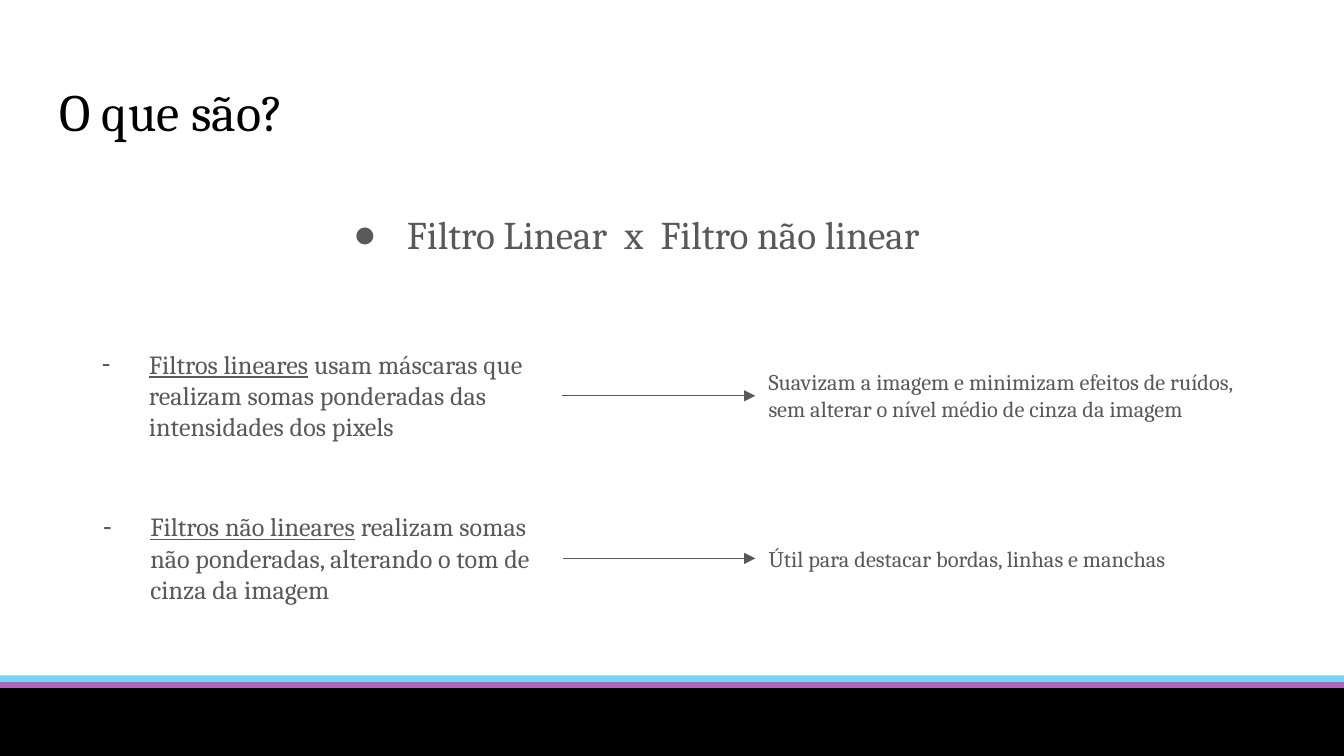
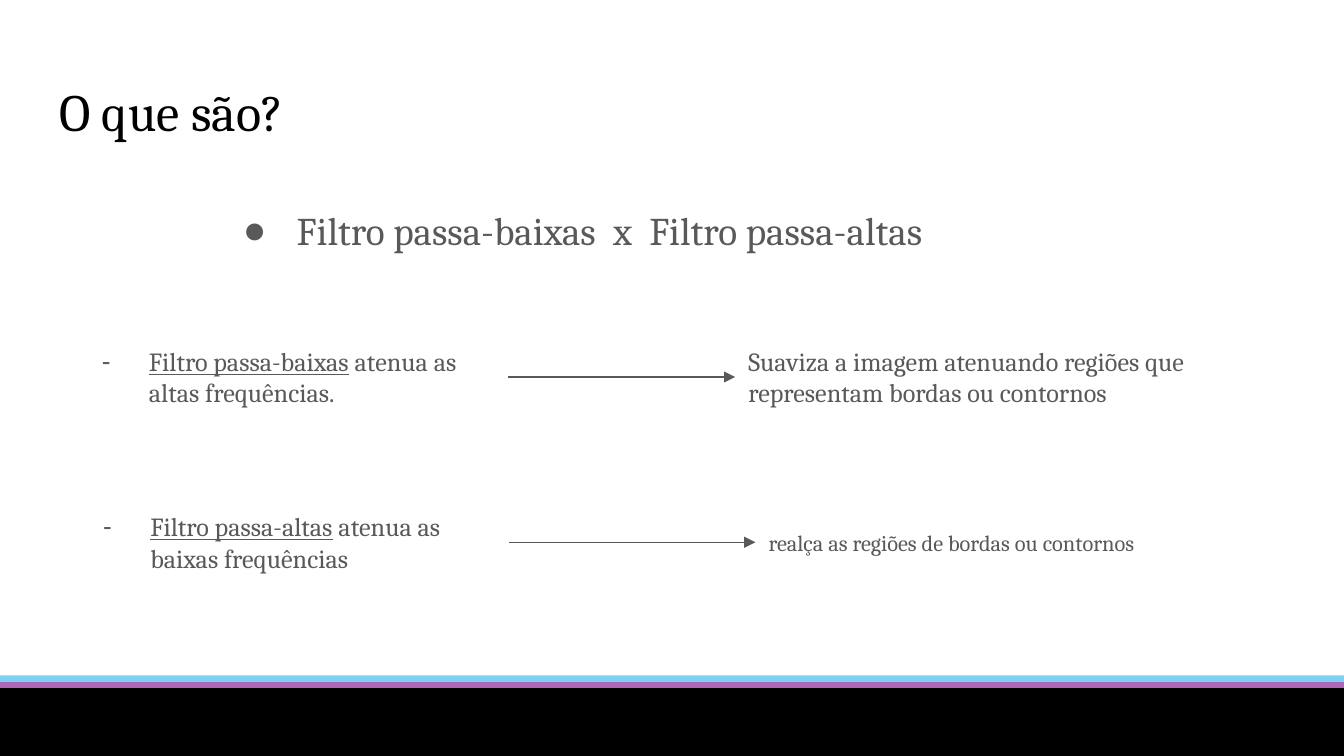
from lxml import etree
from pptx import Presentation
from pptx import util as u
from pptx.dml.color import RGBColor
from pptx.enum import shapes, text
from pptx.oxml.ns import qn

COLORS = {"title": "000000", "body": "595959", "footer": "000000",
          "cyan": "00A9EC", "magenta": "E3007B"}
FONT = "Cambria"
BULLET_FONT = "Arial"
WIDTH = 10
HEIGHT = WIDTH * 9 / 16
TITLE_ONLY = 5

# Translucent bands, then the solid footer: top, colour, opacity in percent
BAND_HEIGHT = 0.5
FOOTER_TOP = HEIGHT - BAND_HEIGHT
BANDS = [(FOOTER_TOP - 0.1, "cyan", 52), (FOOTER_TOP - 0.05, "magenta", 50),
         (FOOTER_TOP, "footer", 100)]

# Bullet styles: character and hanging indent
HEADING_BULLET = ("●", 0.4)
POINT_BULLET = ("-", 0.35)

# Each row: a point (left, top, width, height, underlined term, rest)
# and its effect (left, width, height, size, text)
SLIDES = [
    {
        "heading": (2.43, 1.29, "Filtro Linear  x  Filtro não linear"),
        "rows": [
            ((0.51, 2.49, 3.67, 0.91, "Filtros lineares",
              " usam máscaras que realizam somas ponderadas das intensidades dos pixels"),
             (5.62, 3.86, 0.61, 12,
              "Suavizam a imagem e minimizam efeitos de ruídos, "
              "sem alterar o nível médio de cinza da imagem")),
            ((0.52, 3.7, 3.67, 0.91, "Filtros não lineares",
              " realizam somas não ponderadas, alterando o tom de cinza da imagem"),
             (5.62, 3.86, 0.4, 12, "Útil para destacar bordas, linhas e manchas")),
        ],
    },
    {
        "heading": (1.61, 1.26, "Filtro passa-baixas  x  Filtro passa-altas"),
        "rows": [
            ((0.51, 2.47, 3.27, 0.67, "Filtro passa-baixas",
              " atenua as altas frequências."),
             (5.47, 4.14, 0.67, 14,
              "Suaviza a imagem atenuando regiões que representam bordas ou contornos")),
            ((0.52, 3.7, 3.27, 0.67, "Filtro passa-altas",
              " atenua as baixas frequências"),
             (5.62, 3.86, 0.4, 12, "realça as regiões de bordas ou contornos")),
        ],
    },
]


def rgb(name):
    return RGBColor.from_string(COLORS[name])


def set_attributes(target, values):
    for name, value in values.items():
        setattr(target, name, value)


def format_frame(frame, auto_size):
    set_attributes(frame, {
        "word_wrap": True, "auto_size": auto_size,
        "vertical_anchor": text.MSO_ANCHOR.TOP,
        **{f"margin_{side}": u.Inches(0.1)
           for side in ("left", "top", "right", "bottom")},
    })


def add_run(paragraph, words, size, color="body", underline=None):
    run = paragraph.add_run()
    run.text = words
    set_attributes(run.font, {"name": FONT, "size": u.Pt(size), "underline": underline})
    run.font.color.rgb = rgb(color)


def add_bullet(paragraph, character, hanging):
    properties = paragraph._p.get_or_add_pPr()
    properties.set("marL", str(u.Inches(0.5)))
    properties.set("indent", str(-u.Inches(hanging)))
    color = etree.SubElement(properties, qn("a:buClr"))
    etree.SubElement(color, qn("a:srgbClr"), val=COLORS["body"])
    etree.SubElement(properties, qn("a:buFont"), typeface=BULLET_FONT)
    etree.SubElement(properties, qn("a:buChar"), char=character)


def add_text(slide, box, runs, size, bullet=None, line_spacing=None):
    """Add a text box; runs are (words, underline) pairs."""
    shape = slide.shapes.add_textbox(*map(u.Inches, box))
    format_frame(shape.text_frame, text.MSO_AUTO_SIZE.SHAPE_TO_FIT_TEXT)
    paragraph = shape.text_frame.paragraphs[0]
    if line_spacing:
        paragraph.line_spacing = line_spacing
    if bullet:
        add_bullet(paragraph, *bullet)
    for words, underline in runs:
        add_run(paragraph, words, size, underline=underline)
    return shape


def add_arrow(slide, start, end):
    """Join the right side of start to the left side of end."""
    connector = slide.shapes.add_connector(shapes.MSO_CONNECTOR.STRAIGHT, 0, 0, 0, 0)
    connector.begin_connect(start, 3)
    connector.end_connect(end, 1)
    connector.line.color.rgb = rgb("body")
    connector.line.width = u.Pt(0.75)
    line = connector.line._get_or_add_ln()
    etree.SubElement(line, qn("a:tailEnd"), type="triangle")
    etree.SubElement(connector.element.spPr, qn("a:effectLst"))


def add_title(slide, words):
    title = slide.shapes.title
    set_attributes(title, {"left": u.Inches(0.34), "top": u.Inches(0.49),
                           "width": u.Inches(9.32), "height": u.Inches(0.63)})
    format_frame(title.text_frame, text.MSO_AUTO_SIZE.NONE)
    paragraph = title.text_frame.paragraphs[0]
    paragraph.alignment = text.PP_ALIGN.LEFT
    add_run(paragraph, words, 28, "title")


def add_row(slide, point, effect):
    left, top, width, height, term, rest = point
    point_box = add_text(slide, (left, top, width, height),
                         [(term, True), (rest, False)], 14, POINT_BULLET)
    effect_left, effect_width, effect_height, size, words = effect
    # The effect is centred vertically on its point
    effect_top = top + (height - effect_height) / 2
    effect_box = add_text(slide, (effect_left, effect_top, effect_width, effect_height),
                          [(words, None)], size)
    add_arrow(slide, point_box, effect_box)


def move_bands_to_layout(slide):
    """Draw the bottom bands and hand them to the layout all slides share."""
    for top, color, opacity in BANDS:
        band = slide.shapes.add_shape(
            shapes.MSO_SHAPE.RECTANGLE,
            *map(u.Inches, (0, top, WIDTH, BAND_HEIGHT)))
        band.shadow.inherit = False
        band.fill.solid()
        band.fill.fore_color.rgb = rgb(color)
        if opacity < 100:
            band.line.fill.background()
            fill_color = band.element.spPr.find(f"{qn('a:solidFill')}/{qn('a:srgbClr')}")
            etree.SubElement(fill_color, qn("a:alpha"), val=str(opacity * 1000))
        else:
            band.line.color.rgb = rgb(color)
            band.line.width = u.Pt(0.75)
        slide.slide_layout.shapes.element.append(band.element)


def main():
    presentation = Presentation()
    presentation.slide_width = u.Inches(WIDTH)
    presentation.slide_height = u.Inches(HEIGHT)
    layout = presentation.slide_layouts[TITLE_ONLY]

    for content in SLIDES:
        slide = presentation.slides.add_slide(layout)
        add_title(slide, "O que são?")
        left, top, words = content["heading"]
        add_text(slide, (left, top, 6.13, 0.56), [(words, None)], 21,
                 HEADING_BULLET, line_spacing=1.5)
        for point, effect in content["rows"]:
            add_row(slide, point, effect)

    # Shared bottom bands
    move_bands_to_layout(presentation.slides[0])
    presentation.save("out.pptx")


if __name__ == "__main__":
    main()
